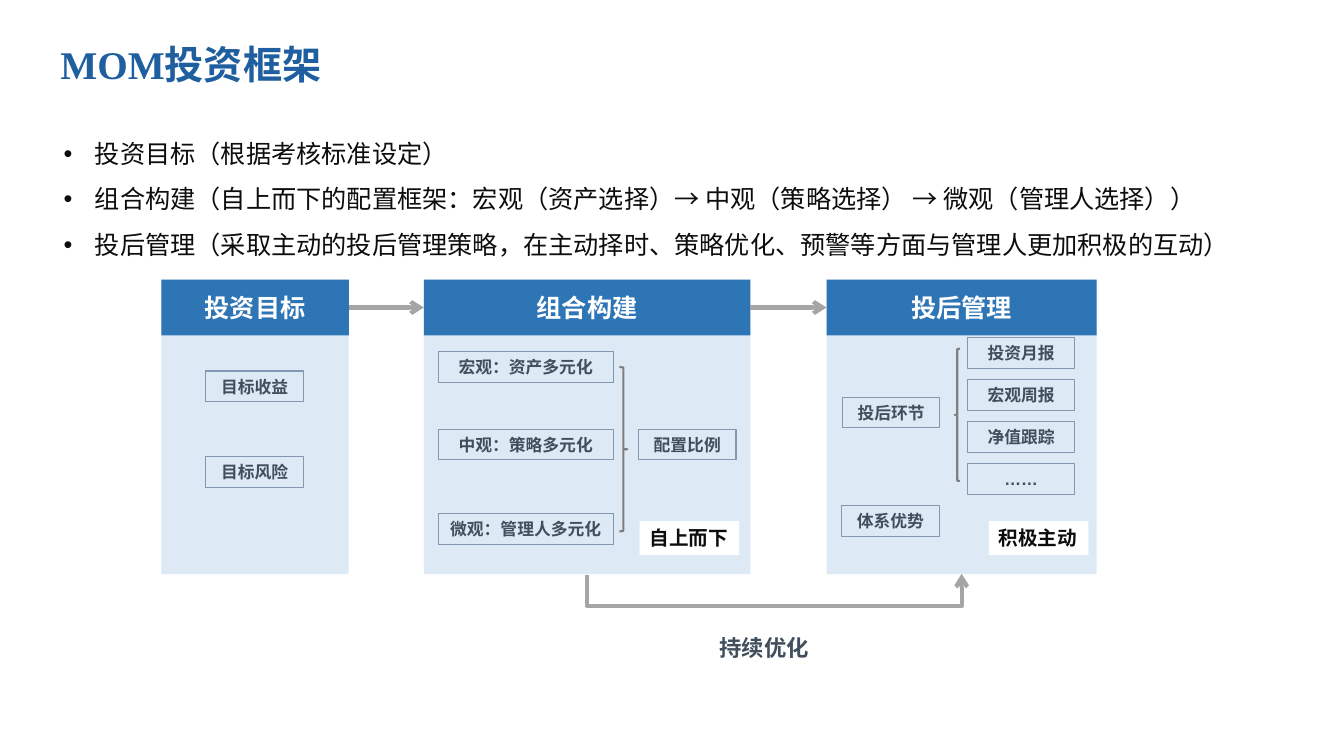
from lxml.etree import SubElement
from pptx import Presentation
from pptx.dml.color import RGBColor
from pptx.enum.shapes import MSO_CONNECTOR as LINE, MSO_SHAPE as SHAPE
from pptx.enum.text import MSO_ANCHOR as ANCHOR, MSO_AUTO_SIZE as AUTO, PP_ALIGN as ALIGN
from pptx.oxml.ns import qn
from pptx.util import Cm, Pt

COLORS = {
    "title": "1F5FA0", "header": "2E75B6", "panel": "BDD7EE", "white": "FFFFFF",
    "tag_line": "8497B0", "tag_text": "414F5C", "text": "0D0D0D",
    "arrow": "A5A5A5", "brace": "7F7F7F",
}
CJK = "Noto Sans CJK SC"
TAG_W, TAG_H = 2.46, 0.77
TOP, HEIGHT, HEADER_H = 7.05, 7.42, 1.4


def rgb(name):
    return RGBColor.from_string(COLORS[name])


def set_font(p, size, color, bold=True, name="Arial"):
    f = p.font
    f.size, f.bold, f.name = Pt(size), bold, name
    f.color.rgb = rgb(color)
    latin = p._p.pPr.find(qn("a:defRPr")).find(qn("a:latin"))
    east = latin.makeelement(qn("a:ea"), {"typeface": CJK})
    latin.addnext(east)


def place(sp, x, y, w, h):
    sp.left, sp.top, sp.width, sp.height = Cm(x), Cm(y), Cm(w), Cm(h)


def add_text(sp, text, size, color, align=ALIGN.CENTER):
    tf = sp.text_frame
    tf.word_wrap = True
    tf.vertical_anchor = ANCHOR.MIDDLE
    tf.margin_top = tf.margin_bottom = 0
    p = tf.paragraphs[0]
    p.text, p.alignment = text, align
    set_font(p, size, color)


def add_shape(s, kind, x, y, w, h, fill=None, line=None, weight=0.75):
    sp = s.shapes.add_shape(kind, Cm(x), Cm(y), Cm(w), Cm(h))
    sp.shadow.inherit = False
    if fill:
        sp.fill.solid()
        sp.fill.fore_color.rgb = rgb(fill)
    else:
        sp.fill.background()
    if line:
        sp.line.color.rgb = rgb(line)
        sp.line.width = Pt(weight)
    else:
        sp.line.fill.background()
    return sp


def add_tag(s, text, x, y, w=TAG_W):
    sp = add_shape(s, SHAPE.RECTANGLE, x, y, w, TAG_H, line="tag_line")
    add_text(sp, text, 12, "tag_text")


def add_badge(s, text, x, y):
    sp = add_shape(s, SHAPE.RECTANGLE, x, y, 2.51, 0.86, fill="white")
    add_text(sp, text, 14, "text", ALIGN.LEFT)


def add_brace(s, kind, x, y, w, h):
    add_shape(s, kind, x, y, w, h, line="brace", weight=1.5)


def add_arrow(s, kind, start, start_site, end, end_site):
    c = s.shapes.add_connector(kind, start.left, start.top, end.left, end.top)
    c.begin_connect(start, start_site)
    c.end_connect(end, end_site)
    c.line.color.rgb = rgb("arrow")
    c.line.width = Pt(3)
    SubElement(c.line._get_or_add_ln(), qn("a:tailEnd"), type="arrow")
    SubElement(c._element.spPr, qn("a:effectLst"))
    return c


def column(s, title, x, y, w, h):
    """Pale panel with a header bar across its top."""
    panel = add_shape(s, SHAPE.RECTANGLE, x, y, w, h, fill="panel")
    tint = panel._element.spPr.find(qn("a:solidFill"))[0]
    SubElement(tint, qn("a:alpha"), val="50000")
    header = add_shape(s, SHAPE.ROUNDED_RECTANGLE, x, y, w, HEADER_H, fill="header")
    header.adjustments[0] = 0
    add_text(header, title, 18, "white")
    return panel, header


def goal_column(s, x, y, w, h):
    parts = column(s, "投资目标", x, y, w, h)
    for text, dy in (("目标收益", 2.3), ("目标风险", 4.46)):
        add_tag(s, text, x + 1.12, y + dy)
    return parts


def portfolio_column(s, x, y, w, h):
    parts = column(s, "组合构建", x, y, w, h)
    levels = (("宏观：资产多元化", 1.81), ("中观：策略多元化", 3.77), ("微观：管理人多元化", 5.9))
    for text, dy in levels:
        add_tag(s, text, x + 0.36, y + dy, 4.42)
    add_brace(s, SHAPE.RIGHT_BRACE, x + 4.93, y + 2.2, 0.2, 4.14)
    add_tag(s, "配置比例", x + 5.41, y + 3.77)
    add_badge(s, "自上而下", x + 5.44, y + 6.08)
    return parts


def followup_column(s, x, y, w, h):
    parts = column(s, "投后管理", x, y, w, h)
    add_tag(s, "投后环节", x + 0.4, y + 2.96)
    add_tag(s, "体系优势", x + 0.38, y + 5.7)
    add_brace(s, SHAPE.LEFT_BRACE, x + 3.23, y + 1.74, 0.13, 3.33)
    for i, text in enumerate(("投资月报", "宏观周报", "净值跟踪", "……")):
        add_tag(s, text, x + 3.56, y + 1.46 + 1.06 * i, 2.69)
    add_badge(s, "积极主动", x + 4.09, y + 6.08)
    return parts


def feedback_loop(s, start, end):
    """Elbow arrow running under the panels, with its caption."""
    c = add_arrow(s, LINE.ELBOW, start, 2, end, 2)
    span = c.width
    thin, drop = Cm(0.02), Cm(0.79)
    middle = c.left + span // 2
    bottom = start.top + start.height
    c.left, c.top = middle - thin // 2, bottom - span // 2
    c.width, c.height = thin, span
    # Turned a quarter, so the bend is measured against the thin side
    spPr = c._element.spPr
    spPr.find(qn("a:xfrm")).set("rot", "5400000")
    guides = spPr.find(qn("a:prstGeom")).get_or_add_avLst()
    SubElement(guides, qn("a:gd"), name="adj1", fmla=f"val {-round(drop / thin * 100000)}")
    caption = s.shapes.add_textbox(Cm(17.88), Cm(15.85), Cm(3), Cm(0.94))
    add_text(caption, "持续优化", 16, "tag_text", ALIGN.LEFT)


def title_region(sp, x, y, w, h):
    place(sp, x, y, w, h)
    tf = sp.text_frame
    tf.auto_size, tf.vertical_anchor = AUTO.NONE, ANCHOR.MIDDLE
    p = tf.paragraphs[0]
    p.text, p.alignment = "MOM投资框架", ALIGN.LEFT
    p.line_spacing, p.space_before = 0.9, Pt(10)
    set_font(p, 28, "title", name="Times New Roman")


def bullet_region(sp, x, y, w, h):
    place(sp, x, y, w, h)
    tf = sp.text_frame
    tf.auto_size, tf.word_wrap = AUTO.NONE, True
    bullets = (
        ("投资目标（根据考核标准设定）",),
        ("组合构建（自上而下的配置框架：宏观（资产选择）", "→ ", "中观（策略选择）",
         " → ", "微观（管理人选择））"),
        ("投后管理（采取主动的投后管理策略，在主动择时、策略优化、预警等方面与管理人更加积极的互动）",),
    )
    for i, pieces in enumerate(bullets):
        p = tf.add_paragraph() if i else tf.paragraphs[0]
        for piece in pieces:
            r = p.add_run()
            r.text = piece
            if "→" in piece:
                r.font.name = "Arial"
        p.line_spacing, p.space_before = Pt(32.5), Pt(0)
        set_font(p, 18, "text", bold=False, name=CJK)
        pPr = p._p.pPr
        pPr.set("marL", str(Cm(0.79)))
        pPr.set("indent", str(-Cm(0.79)))


def main():
    prs = Presentation()
    prs.slide_width, prs.slide_height = Cm(33.87), Cm(19.05)
    s = prs.slides.add_slide(prs.slide_layouts[1])

    # Title and bullets
    title_region(s.shapes.title, 1.27, 0.48, 31.37, 2.39)
    bullet_region(s.placeholders[1], 1.35, 2.97, 31.34, 3.71)

    # Three stages
    _, goal = goal_column(s, 4.07, TOP, 4.72, HEIGHT)
    portfolio_panel, portfolio = portfolio_column(s, 10.68, TOP, 8.23, HEIGHT)
    followup_panel, followup = followup_column(s, 20.83, TOP, 6.81, HEIGHT)

    # Arrows between the stages
    add_arrow(s, LINE.STRAIGHT, goal, 3, portfolio, 1)
    add_arrow(s, LINE.STRAIGHT, portfolio, 3, followup, 1)
    feedback_loop(s, followup_panel, portfolio_panel)

    prs.save("out.pptx")


if __name__ == "__main__":
    main()
